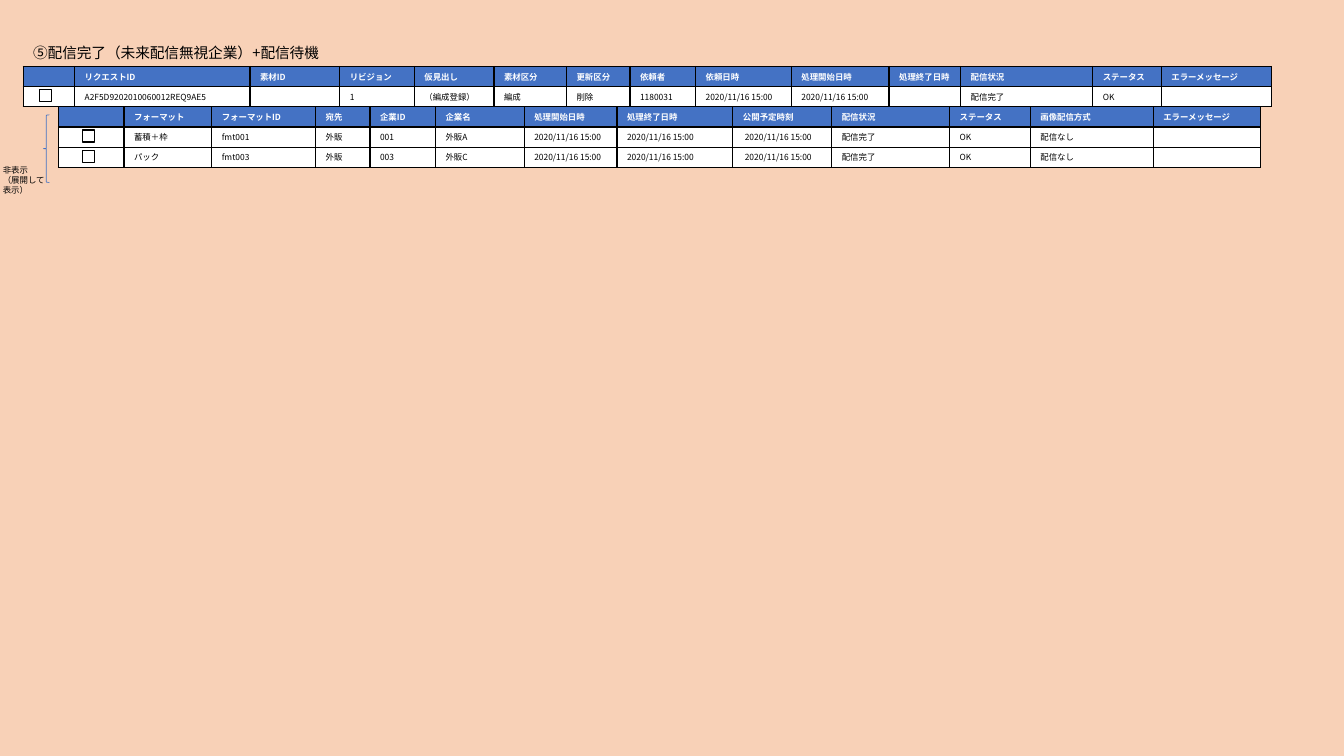
from lxml.etree import SubElement as Sub
from pptx import Presentation
from pptx.dml.color import RGBColor
from pptx.enum.shapes import MSO_SHAPE as Kind
from pptx.enum.text import MSO_ANCHOR as Anchor, MSO_AUTO_SIZE as Fit
from pptx.oxml.ns import qn
from pptx.util import Inches, Pt

FONT = "Noto Sans CJK JP"
HUES = {"back": "ED7D31", "head": "4472C4", "paper": "FFFFFF", "ink": "000000"}
TIME = "2020/11/16 15:00"

TITLE = ["⑤配信完了（未来配信無視企業）+配信待機"]
NOTE = ["非表示", "（展開して", "表示）"]

TABLES = [
    {
        "spot": (0.23, 0.66),
        "cols": [0.51, 1.74, 0.89, 0.74, 0.79, 0.72, 0.63, 0.65, 0.95, 0.97,
                 0.71, 1.31, 0.68, 1.09],
        "rows": [
            ["", "リクエストID", "素材ID", "リビジョン", "仮見出し", "素材区分",
             "更新区分", "依頼者", "依頼日時", "処理開始日時", "処理終了日時",
             "配信状況", "ステータス", "エラーメッセージ"],
            ["", "A2F5D9202010060012REQ9AE5", "", "1", "（編成登録）", "編成",
             "削除", "1180031", TIME, TIME, "", "配信完了", "OK", ""],
        ],
    },
    {
        "spot": (0.58, 1.06),
        "cols": [0.65, 0.87, 1.03, 0.54, 0.65, 0.88, 0.92, 1.15, 0.98, 1.17,
                 0.8, 1.22, 1.06],
        "rows": [
            ["", "フォーマット", "フォーマットID", "宛先", "企業ID", "企業名",
             "処理開始日時", "処理終了日時", "公開予定時刻", "配信状況",
             "ステータス", "画像配信方式", "エラーメッセージ"],
            ["", "蓄積＋枠", "fmt001", "外販", "001", "外販A", TIME, TIME,
             " " + TIME, "配信完了", "OK", "配信なし", ""],
            ["", "パック", "fmt003", "外販", "003", "外販C", TIME, TIME,
             " " + TIME, "配信完了", "OK", "配信なし", ""],
        ],
    },
]
ROW = 0.2
CHECKS = [(0.39, 0.89), (0.82, 1.29), (0.82, 1.49)]


def tint(name):
    return RGBColor.from_string(HUES[name])


def style(para, size, hue, bold=False):
    for run in para.runs:
        run.font.size = Pt(size)
        run.font.bold = bold
        run.font.name = FONT
        run.font.color.rgb = tint(hue)
        Sub(run.font._element, qn("a:ea"), typeface=FONT)
    if not para.runs:
        Sub(para._p, qn("a:endParaRPr"), sz=str(size * 100))


def label(slide, box, lines, size):
    frame = slide.shapes.add_textbox(*map(Inches, box)).text_frame
    frame.word_wrap = False
    frame.auto_size = Fit.SHAPE_TO_FIT_TEXT
    frame.text = "\n".join(lines)
    for para in frame.paragraphs:
        style(para, size, "ink")


def shape(slide, kind, box, fill=None, line=None, width=1):
    item = slide.shapes.add_shape(kind, *map(Inches, box))
    item.shadow.inherit = False
    if fill:
        item.fill.solid()
        item.fill.fore_color.rgb = tint(fill)
    else:
        item.fill.background()
    if line:
        item.line.color.rgb = tint(line)
        item.line.width = Pt(width)
    else:
        item.line.fill.background()
    return item


def border(cell):
    props = cell._tc.get_or_add_tcPr()
    for spot, side in enumerate(("lnL", "lnR", "lnT", "lnB")):
        edge = props.makeelement(qn("a:" + side), {"w": str(Pt(1))})
        fill = Sub(edge, qn("a:solidFill"))
        Sub(fill, qn("a:srgbClr"), val=HUES["ink"])
        props.insert(spot, edge)


def grid(slide, spot, cols, rows):
    box = (*spot, sum(cols), ROW * len(rows))
    table = slide.shapes.add_table(len(rows), len(cols), *map(Inches, box)).table
    for col, width in zip(table.columns, cols):
        col.width = Inches(width)
    for r, row in enumerate(rows):
        table.rows[r].height = Inches(ROW)
        for c, text in enumerate(row):
            cell = table.cell(r, c)
            cell.margin_top = cell.margin_bottom = Inches(0.04)
            cell.margin_right = Inches(0.05)
            cell.vertical_anchor = Anchor.MIDDLE
            cell.fill.solid()
            cell.fill.fore_color.rgb = tint("paper" if r else "head")
            border(cell)
            if text:
                cell.text_frame.text = text
            style(cell.text_frame.paragraphs[0], 6, "ink" if r else "paper", r == 0)


def main():
    deck = Presentation()
    deck.slide_width, deck.slide_height = Inches(13.33), Inches(7.5)
    slide = deck.slides.add_slide(deck.slide_layouts[6])

    back = shape(slide, Kind.RECTANGLE, (0, -0.02, 13.35, 7.52), "back")
    hue = back.fill._xPr.find(qn("a:solidFill"))[0]
    Sub(hue, qn("a:alpha"), val="35000")

    label(slide, (0.23, 0.39, 3.11, 0.28), TITLE, 10.5)
    shape(slide, Kind.LEFT_BRACE, (0.43, 1.14, 0.06, 0.67), line="head", width=0.5)
    label(slide, (-0.07, 1.59, 0.62, 0.4), NOTE, 6)
    for part in TABLES:
        grid(slide, **part)
    for spot in CHECKS:
        shape(slide, Kind.RECTANGLE, (*spot, 0.12, 0.12), "paper", "ink")
    deck.save("out.pptx")


if __name__ == "__main__":
    main()
